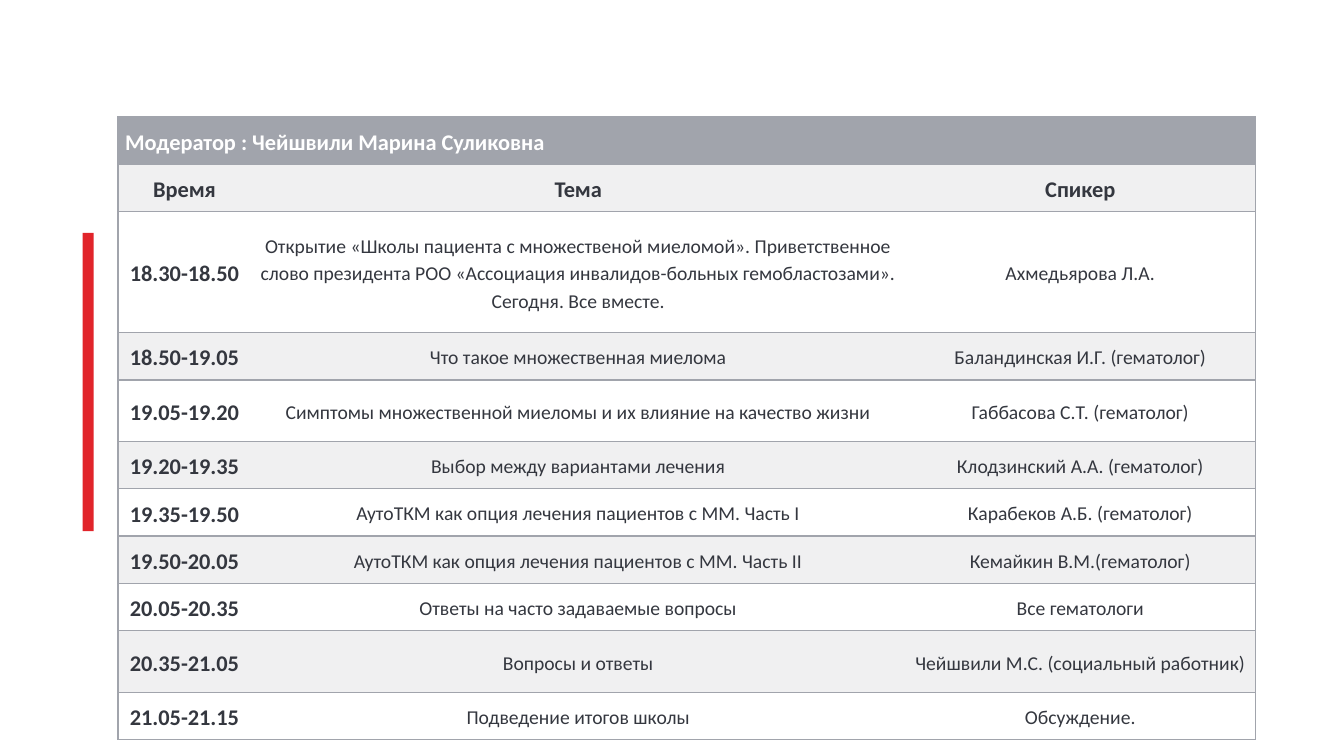
"""Build the programme slide of a patient school: a timetable and a red accent bar."""
from lxml.etree import SubElement
from pptx import Presentation
from pptx.dml.color import RGBColor
from pptx.enum.shapes import MSO_SHAPE
from pptx.enum.text import MSO_ANCHOR, PP_ALIGN
from pptx.oxml.ns import qn
from pptx.util import Inches, Pt

GRID_STEP = 0.01
SLIDE_COLUMNS, SLIDE_ROWS = 1333, 750
TABLE_LEFT, TABLE_TOP = 117, 116
COLUMN_WIDTHS = (132, 649, 347)
ROW_HEIGHT, MEDIUM_ROW, TALL_ROW = 47, 61, 120
GREY, PALE, WHITE, DARK, RED = "A1A4AC", "F0F0F1", "FFFFFF", "34373F", "E1242A"

MODERATOR = "Модератор : Чейшвили Марина Суликовна"
HEADINGS = ("Время", "Тема", "Спикер")
SESSIONS = (
    ("18.30-18.50", "Открытие «Школы пациента с множественой миеломой». Приветственное "
     "слово президента РОО «Ассоциация инвалидов-больных гемобластозами». "
     "Cегодня. Все вместе.", "Ахмедьярова Л.А.", TALL_ROW),
    ("18.50-19.05", "Что такое множественная миелома",
     "Баландинская И.Г. (гематолог)", ROW_HEIGHT),
    ("19.05-19.20", "Cимптомы множественной миеломы и их влияние на качество жизни",
     "Габбасова С.Т. (гематолог)", MEDIUM_ROW),
    ("19.20-19.35", "Выбор между вариантами лечения",
     "Клодзинский А.А. (гематолог)", ROW_HEIGHT),
    ("19.35-19.50", "АутоТКМ как опция лечения пациентов с ММ. Часть I",
     "Карабеков А.Б. (гематолог)", ROW_HEIGHT),
    ("19.50-20.05", "АутоТКМ как опция лечения пациентов с ММ. Часть II",
     "Кемайкин В.М.(гематолог)", ROW_HEIGHT),
    ("20.05-20.35", "Ответы на часто задаваемые вопросы", "Все гематологи", ROW_HEIGHT),
    ("20.35-21.05", "Вопросы и ответы", "Чейшвили М.С. (социальный работник)", MEDIUM_ROW),
    ("21.05-21.15", "Подведение итогов школы", "Обсуждение.", ROW_HEIGHT),
)


def grid(steps):
    """Turn a number of grid steps into a length."""
    return Inches(steps * GRID_STEP)


def paint(target, color):
    """Give a fill or a font colour from a hex string."""
    target.rgb = RGBColor.from_string(color)


def fill_solid(item, color):
    """Fill a shape or a cell with one colour."""
    item.fill.solid()
    paint(item.fill.fore_color, color)


def add_bar(slide, left, top, width, height, color):
    """Add a plain bar placed in grid steps."""
    bar = slide.shapes.add_shape(
        MSO_SHAPE.RECTANGLE, *map(grid, (left, top, width, height)))
    bar.shadow.inherit = False
    fill_solid(bar, color)
    bar.line.fill.background()


def set_borders(cell, visible):
    """Draw the named sides of a cell and hide the others."""
    properties = cell._tc.get_or_add_tcPr()
    for side in "LRTB":
        line = SubElement(properties, qn(f"a:ln{side}"), w=str(Pt(1)))
        if side in visible:
            solid = SubElement(line, qn("a:solidFill"))
            SubElement(solid, qn("a:srgbClr"), val=GREY)
        else:
            SubElement(line, qn("a:noFill"))


def write_text(cell, text, size=14, bold=False, color=DARK, align=PP_ALIGN.CENTER):
    """Write one formatted paragraph into a cell."""
    cell.vertical_anchor = MSO_ANCHOR.MIDDLE
    cell.margin_left = cell.margin_right = grid(7)
    cell.margin_top = cell.margin_bottom = 0
    paragraph = cell.text_frame.paragraphs[0]
    paragraph.alignment = align
    paragraph.line_spacing = 1.15
    run = paragraph.add_run()
    run.text = text
    run.font.name = "Calibri"
    run.font.size = Pt(size)
    run.font.bold = bold
    paint(run.font.color, color)


def add_timetable(slide):
    """Add the table with the moderator, the headings and the sessions."""
    heights = [ROW_HEIGHT, ROW_HEIGHT] + [session[-1] for session in SESSIONS]
    frame = slide.shapes.add_table(
        len(heights), len(COLUMN_WIDTHS), grid(TABLE_LEFT), grid(TABLE_TOP),
        grid(sum(COLUMN_WIDTHS)), grid(sum(heights)))
    table = frame.table
    for column, width in zip(table.columns, COLUMN_WIDTHS):
        column.width = grid(width)
    for row, height in zip(table.rows, heights):
        row.height = grid(height)

    for cell in table.rows[0].cells:
        set_borders(cell, "LRTB")
        fill_solid(cell, GREY)
    title = table.cell(0, 0)
    title.merge(table.cell(0, len(COLUMN_WIDTHS) - 1))
    write_text(title, MODERATOR, size=16, bold=True, color=WHITE, align=PP_ALIGN.LEFT)

    texts = [HEADINGS] + [session[:-1] for session in SESSIONS]
    for row_index, row_texts in enumerate(texts, start=1):
        for column_index, (text, sides) in enumerate(zip(row_texts, ("LTB", "TB", "RTB"))):
            cell = table.cell(row_index, column_index)
            set_borders(cell, sides)
            fill_solid(cell, PALE if row_index % 2 else WHITE)
            strong = row_index == 1 or column_index == 0
            write_text(cell, text, size=16 if strong else 14, bold=strong)


def main():
    """Create the presentation and save it."""
    presentation = Presentation()
    presentation.slide_width = grid(SLIDE_COLUMNS)
    presentation.slide_height = grid(SLIDE_ROWS)
    slide = presentation.slides.add_slide(presentation.slide_layouts[6])
    add_bar(slide, 82, 231, 11, 296, RED)
    add_timetable(slide)
    presentation.save("out.pptx")


if __name__ == "__main__":
    main()
